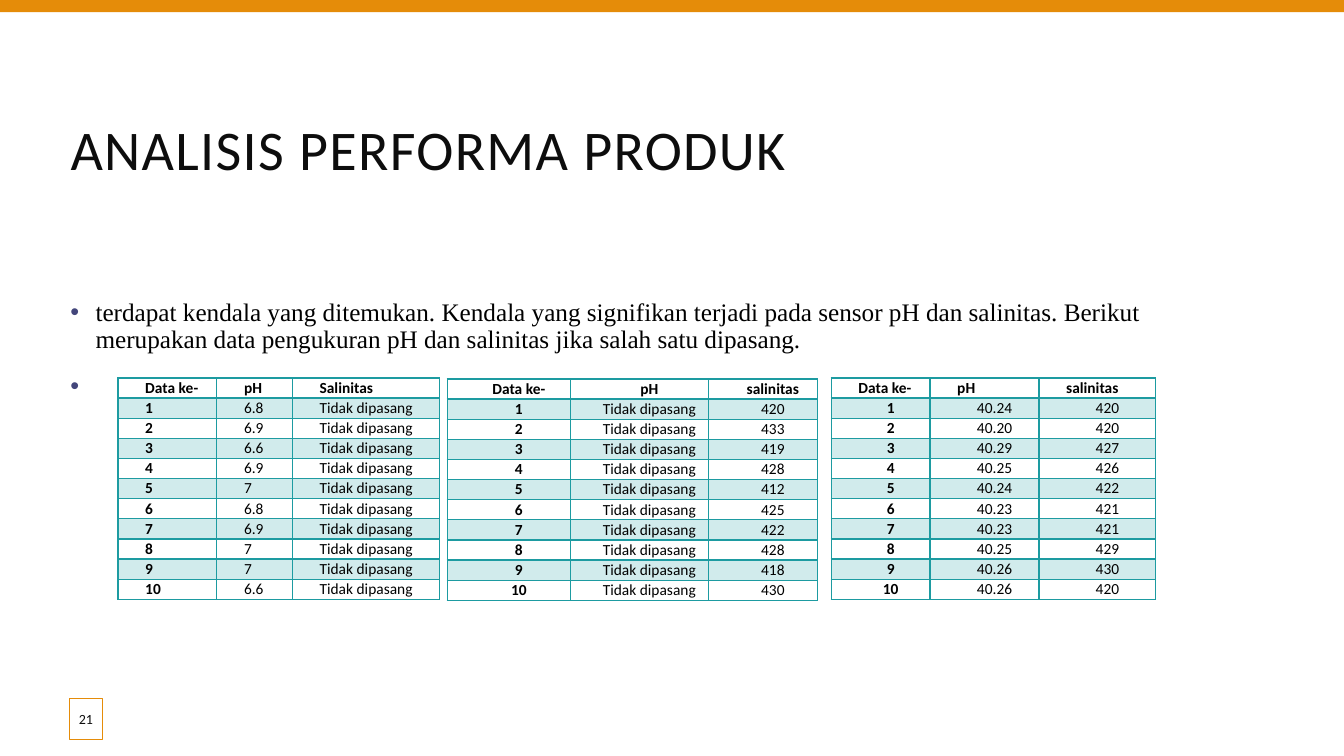
from lxml.etree import SubElement
from pptx import Presentation
from pptx.dml.color import RGBColor
from pptx.enum.shapes import MSO_SHAPE
from pptx.enum.text import MSO_ANCHOR, MSO_AUTO_SIZE, PP_ALIGN
from pptx.oxml.ns import qn
from pptx.util import Inches, Pt

SLIDE_W, SLIDE_H = Inches(13.33), Inches(7.5)
COLORS = {"accent": "E58C09", "teal": "1D9BA1", "bullet": "43467B",
          "title": "0D0D0D", "text": "000000", "paper": "FFFFFF"}
LEFT, CENTER = PP_ALIGN.LEFT, PP_ALIGN.CENTER
ABSENT = ["Tidak dipasang"] * 10
MEASUREMENTS = [
    {"box": (8.78, 50, 23.93, 29.33), "columns": (0.98, 0.75, 1.46),
     "header": ("Data ke-", "pH", "Salinitas"), "aligns": (LEFT, LEFT),
     "ph": "6.8 6.9 6.6 6.9 7 6.8 6.9 7 7 6.6".split(), "salinity": ABSENT},
    {"box": (33.28, 50.13, 27.53, 29.33), "columns": (1.22, 1.37, 1.08),
     "header": ("Data ke-", "pH", "salinitas"), "aligns": (CENTER, CENTER),
     "ph": ABSENT, "salinity": "420 433 419 428 412 425 422 428 418 430".split()},
    {"box": (61.85, 50, 24.16, 29.33), "columns": (0.98, 1.08, 1.16),
     "header": ("Data ke-", "pH", "salinitas"), "aligns": (LEFT, CENTER),
     "ph": "40.24 40.20 40.29 40.25 40.24 40.23 40.23 40.25 40.26 40.26".split(),
     "salinity": "420 420 427 426 422 421 421 429 430 420".split()},
]


def place(box):
    """Turn percentages of the slide's width and height into lengths."""
    return [round(share * side / 100)
            for share, side in zip(box, (SLIDE_W, SLIDE_H) * 2)]


def apply(target, values):
    """Set each named attribute on the target."""
    for name, value in values.items():
        setattr(target, name, value)


def write(paragraph, text, size, color, font="Calibri", bold=False):
    """Add a formatted run to a paragraph."""
    run = paragraph.add_run()
    run.text = text
    apply(run.font, {"size": Pt(size), "name": font, "bold": bold})
    run.font.color.rgb = RGBColor.from_string(COLORS[color])
    return run


def paint(fill, color, holder, opacity=100):
    """Fill with a colour, see-through where the opacity is below 100."""
    fill.solid()
    fill.fore_color.rgb = RGBColor.from_string(COLORS[color])
    if opacity < 100:
        tone = holder.find(qn("a:solidFill")).find(qn("a:srgbClr"))
        SubElement(tone, qn("a:alpha"), val=str(opacity * 1000))


def add_box(slide, box, color, opacity=100):
    """Add a plain rectangle."""
    shape = slide.shapes.add_shape(MSO_SHAPE.RECTANGLE, *place(box))
    shape.shadow.inherit = False
    paint(shape.fill, color, shape.fill._xPr, opacity)
    shape.line.fill.background()
    return shape


def add_title(slide, box, text):
    """Move the title placeholder and fill it."""
    title = slide.shapes.title
    apply(title, dict(zip(("left", "top", "width", "height"), place(box))))
    apply(title.text_frame, {"word_wrap": True, "auto_size": MSO_AUTO_SIZE.NONE,
                             "vertical_anchor": MSO_ANCHOR.MIDDLE})
    paragraph = title.text_frame.paragraphs[0]
    paragraph.alignment = LEFT
    run = write(paragraph, text, 40, "title")
    run.font._element.set("spc", "100")


def add_bullets(slide, box, texts):
    """Add the bulleted body text."""
    frame = slide.shapes.add_textbox(*place(box)).text_frame
    frame.word_wrap = True
    for index, text in enumerate(texts):
        paragraph = frame.add_paragraph() if index else frame.paragraphs[0]
        apply(paragraph, {"line_spacing": 0.9, "space_before": Pt(12),
                          "space_after": Pt(2)})
        properties = paragraph._p.get_or_add_pPr()
        properties.set("marL", str(Inches(0.25)))
        properties.set("indent", str(Inches(-0.25)))
        tint = SubElement(properties, qn("a:buClr"))
        SubElement(tint, qn("a:srgbClr"), val=COLORS["bullet"])
        SubElement(properties, qn("a:buFont"), typeface="Arial")
        SubElement(properties, qn("a:buChar"), char="•")
        write(paragraph, text, 18, "text", "Times New Roman")


def add_borders(cell, row):
    """Rule all four sides, heavier between header and data."""
    heavy = {0: "lnB", 1: "lnT"}.get(row)
    for side in ("lnL", "lnR", "lnT", "lnB"):
        width = Pt(2 if side == heavy else 1)
        line = SubElement(cell._tc.get_or_add_tcPr(), qn(f"a:{side}"), w=str(width))
        SubElement(SubElement(line, qn("a:solidFill")), qn("a:srgbClr"),
                   val=COLORS["teal"])


def format_cell(cell, text, row, bold, align):
    """Write one cell with its borders and band."""
    apply(cell, {"margin_left": Inches(0.07), "margin_right": Inches(0.07),
                 "margin_top": 0, "margin_bottom": 0,
                 "vertical_anchor": MSO_ANCHOR.MIDDLE})
    paragraph = cell.text_frame.paragraphs[0]
    paragraph.alignment = align
    properties = paragraph._p.get_or_add_pPr()
    properties.set("marL", "0")
    properties.set("indent", str(Inches(0.2)))
    write(paragraph, text, 11, "text", bold=bold)
    add_borders(cell, row)
    if row % 2:
        paint(cell.fill, "teal", cell._tc.tcPr, 20)
    else:
        cell.fill.background()


def add_measurements(slide, box, columns, header, aligns, ph, salinity):
    """Add a table of numbered pH and salinity readings."""
    numbers = map(str, range(1, len(ph) + 1))
    rows = [header, *zip(numbers, ph, salinity)]
    left, top, width, height = place(box)
    table = slide.shapes.add_table(len(rows), len(header), left, top,
                                   width, height).table
    apply(table, {"first_row": False, "horz_banding": False})
    for column, share in zip(table.columns, columns):
        column.width = round(width * share / sum(columns))
    for r, values in enumerate(rows):
        table.rows[r].height = height // len(rows)
        for c, value in enumerate(values):
            format_cell(table.cell(r, c), value, r, r == 0 or c == 0,
                        aligns[min(r, 1)])


def add_page_number(slide, box, number):
    """Add the framed page number."""
    badge = add_box(slide, box, "paper", 82)
    badge.line.color.rgb = RGBColor.from_string(COLORS["accent"])
    badge.line.width = Pt(0.75)
    apply(badge.text_frame, {"margin_left": 0, "margin_right": 0,
                             "vertical_anchor": MSO_ANCHOR.MIDDLE})
    paragraph = badge.text_frame.paragraphs[0]
    paragraph.alignment = CENTER
    write(paragraph, number, 10, "title")


def build_analysis(deck):
    """Build the product performance slide."""
    slide = deck.slides.add_slide(deck.slide_layouts[5])
    add_box(slide, (0, 0, 100, 1.6), "accent")
    add_title(slide, (4.5, 14.4, 88.67, 10.27), "ANALISIS PERFORMA PRODUK")
    add_bullets(slide, (4.5, 38.93, 84.4, 53.33), [
        "terdapat kendala yang ditemukan. Kendala yang signifikan terjadi pada "
        "sensor pH dan salinitas. Berikut merupakan data pengukuran pH dan "
        "salinitas jika salah satu dipasang.", " "])
    add_page_number(slide, (5.16, 92.4, 2.48, 5.4), "21")
    for measurement in MEASUREMENTS:
        add_measurements(slide, **measurement)


def main():
    """Create and save the deck."""
    deck = Presentation()
    apply(deck, {"slide_width": SLIDE_W, "slide_height": SLIDE_H})
    build_analysis(deck)
    deck.save("out.pptx")


if __name__ == "__main__":
    main()
